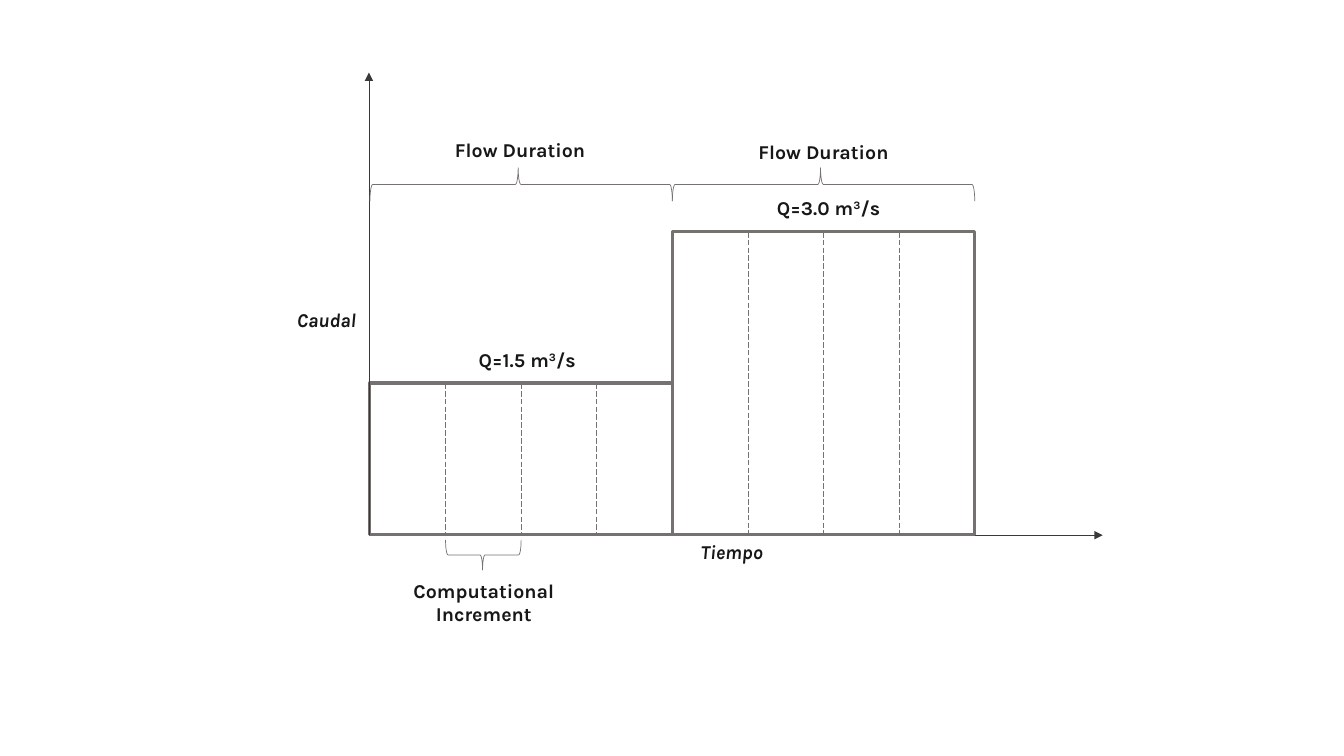
from typing import NamedTuple

from lxml import etree
from pptx import Presentation
from pptx import util as u
from pptx.dml.color import RGBColor
from pptx.enum import dml, shapes, text
from pptx.oxml import ns

INK = RGBColor(0x18, 0x17, 0x17)
AXIS = RGBColor(0x3B, 0x38, 0x38)
GREY = RGBColor(0x76, 0x71, 0x71)
FONT = "Karla"

LEFT, BASE = 264.24, 381.6  # lower left corner of the first block
WIDTH, PARTS = 216, 4       # block width and its computational increments
STEP = WIDTH / PARTS
ORIGIN = (263.52, 382.32)


class Label(NamedTuple):
    words: str  # text between carets is raised
    left: float
    top: float
    width: float = 131.04
    height: float = 24.48
    italic: bool = False


class Block(NamedTuple):
    left: float
    height: float


class Brace(NamedTuple):
    left: float
    top: float
    span: float
    depth: float
    turn: int
    tip: float


LABELS = [
    Label("Tiempo", 457.2, 382.32, italic=True),
    Label("Caudal", 199.44, 216.72, 67.68, italic=True),
    Label("Q=1.5 m^3^/s", 311.04, 244.8),
    Label("Q=3.0 m^3^/s", 526.32, 136.08),
    Label("Flow Duration", 522.72, 96.48),
    Label("Flow Duration", 306, 95.04),
    Label("Computational Increment", 280.08, 409.68, height=41.04),
]
BLOCKS = [Block(LEFT, 108), Block(LEFT + WIDTH, 216)]
BRACES = [Brace(b.left, 119.88, WIDTH, 23.76, 90, 0.51) for b in BLOCKS]
BRACES.append(Brace(LEFT + STEP, 385.56, STEP, 21.6, 270, 0.49))


def add_line(slide, start: tuple, end: tuple, color: RGBColor):
    line = slide.shapes.add_connector(
        shapes.MSO_CONNECTOR.STRAIGHT, *(u.Pt(v) for v in start + end))
    line.line.color.rgb = color
    line.line.width = u.Pt(0.5)
    etree.SubElement(line._element.spPr, ns.qn("a:effectLst"))
    return line


def add_axis(slide, end: tuple) -> None:
    axis = add_line(slide, ORIGIN, end, AXIS)
    etree.SubElement(axis.line._get_or_add_ln(), ns.qn("a:tailEnd"), type="triangle")


def add_shape(slide, kind, left: float, top: float, width: float,
              height: float, weight: float):
    shape = slide.shapes.add_shape(
        kind, *(u.Pt(v) for v in (left, top, width, height)))
    shape.shadow.inherit = False
    shape.fill.background()
    shape.line.color.rgb = GREY
    shape.line.width = u.Pt(weight)
    return shape


def add_block(slide, block: Block) -> None:
    top = BASE - block.height
    rect = add_shape(slide, shapes.MSO_SHAPE.RECTANGLE, block.left, top,
                     WIDTH, block.height, 2.25)
    for part in range(1, PARTS):
        x = block.left + part * STEP
        line = add_line(slide, (x, top), (x, BASE), GREY)
        line.line.dash_style = dml.MSO_LINE.LONG_DASH
        if part * 2 == PARTS:
            line.begin_connect(rect, 0)
            line.end_connect(rect, 2)


def add_brace(slide, brace: Brace) -> None:
    # The frame is upright before it turns about its centre
    shift = (brace.span - brace.depth) / 2
    shape = add_shape(slide, shapes.MSO_SHAPE.LEFT_BRACE, brace.left + shift,
                      brace.top - shift, brace.depth, brace.span, 0.5)
    shape.rotation = brace.turn
    shape.adjustments[0] = 0.083
    shape.adjustments[1] = brace.tip


def add_label(slide, label: Label) -> None:
    box = slide.shapes.add_textbox(
        *(u.Pt(v) for v in (label.left, label.top, label.width, label.height)))
    frame = box.text_frame
    frame.word_wrap = True
    frame.auto_size = text.MSO_AUTO_SIZE.SHAPE_TO_FIT_TEXT
    para = frame.paragraphs[0]
    para.alignment = text.PP_ALIGN.CENTER
    font = para.font
    font.name, font.size = FONT, u.Pt(14)
    font.bold, font.italic = True, label.italic
    font.color.rgb = INK
    for i, piece in enumerate(label.words.split("^")):
        run = para.add_run()
        run.text = piece
        if i % 2:
            run._r.get_or_add_rPr().set("baseline", "30000")


def main() -> None:
    deck = Presentation()
    deck.slide_width, deck.slide_height = u.Pt(960), u.Pt(540)
    slide = deck.slides.add_slide(deck.slide_layouts[6])

    # Time axis, flow blocks, flow axis
    add_axis(slide, (787.68, ORIGIN[1]))
    for block in BLOCKS:
        add_block(slide, block)
    add_axis(slide, (ORIGIN[0], 51.84))

    # Braces and labels
    for brace in BRACES:
        add_brace(slide, brace)
    for label in LABELS:
        add_label(slide, label)

    deck.save("out.pptx")


if __name__ == "__main__":
    main()
